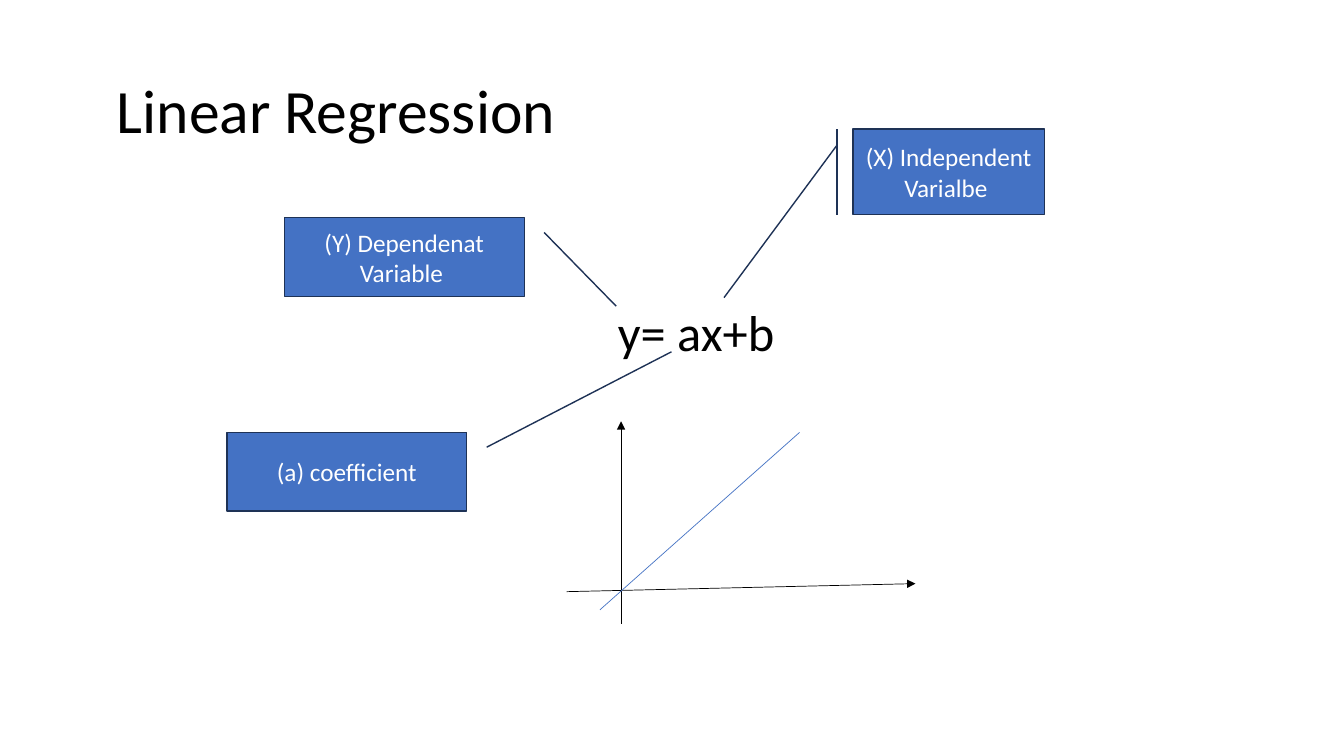
"""Build a slide that explains the linear regression equation."""
from pptx import Presentation
from pptx.dml.color import RGBColor
from pptx.enum.shapes import MSO_CONNECTOR, MSO_SHAPE
from pptx.enum.text import MSO_ANCHOR, PP_ALIGN
from pptx.oxml.ns import qn
from pptx.util import Inches, Pt
from lxml.etree import SubElement

BLACK = RGBColor(0, 0, 0)
WHITE = RGBColor(255, 255, 255)
BLUE = RGBColor(0x44, 0x72, 0xC4)
NAVY = RGBColor(0x1E, 0x32, 0x56)


def style(para, size, color, align):
    para.font.name = "Calibri"
    para.font.size = Pt(size)
    para.font.color.rgb = color
    para.alignment = align


deck = Presentation()
deck.slide_width = Inches(13.33)
deck.slide_height = Inches(7.5)
slide = deck.slides.add_slide(deck.slide_layouts[5])
shapes = slide.shapes

title = shapes.title
title.left, title.top = Inches(0.92), Inches(0.4)
title.width, title.height = Inches(11.5), Inches(1.45)
title.text = " Linear Regression"
title.text_frame.vertical_anchor = MSO_ANCHOR.MIDDLE
title.text_frame.paragraphs[0].line_spacing = 0.9
style(title.text_frame.paragraphs[0], 44, BLACK, PP_ALIGN.LEFT)

PLAIN = MSO_SHAPE.LINE_CALLOUT_1
ACCENT = MSO_SHAPE.LINE_CALLOUT_1_BORDER_AND_ACCENT_BAR
callouts = [
    ("(Y) Dependenat Variable ", PLAIN, (2.82, 2.16, 2.38, 0.78), (1.125, -0.383), True),
    ("(X) Independent Varialbe ", ACCENT, (8.46, 1.28, 1.9, 0.85), (1.968, -0.673), False),
    ("(a) coefficient", PLAIN, (2.25, 4.29, 2.38, 0.78), (-1.026, -0.853), True),
]
for text, kind, area, tip, flip in callouts:
    box = shapes.add_shape(kind, *map(Inches, area))
    for i, value in enumerate((0.188, -0.083, *tip)):
        box.adjustments[i] = value
    if flip:
        box._element.spPr.find(qn("a:xfrm")).set("flipH", "1")
    box.shadow.inherit = False
    box.fill.solid()
    box.fill.fore_color.rgb = BLUE
    box.line.color.rgb = NAVY
    box.line.width = Pt(1)
    frame = box.text_frame
    frame.text = text
    frame.word_wrap = True
    frame.vertical_anchor = MSO_ANCHOR.MIDDLE
    style(frame.paragraphs[0], 18, WHITE, PP_ALIGN.CENTER)

model = shapes.add_textbox(Inches(6.03), Inches(2.94), Inches(1.83), Inches(0.71))
model.text_frame.text = "y= ax+b"
model.text_frame.word_wrap = True
style(model.text_frame.paragraphs[0], 36, BLACK, PP_ALIGN.LEFT)

lines = [
    ((5.62, 5.87, 9.08, 5.79), BLACK, True),
    ((6.16, 6.19, 6.16, 4.18), BLACK, True),
    ((5.95, 6.05, 7.93, 4.29), BLUE, False),
]
for ends, color, arrow in lines:
    line = shapes.add_connector(MSO_CONNECTOR.STRAIGHT, *map(Inches, ends))
    line.line.color.rgb = color
    line.line.width = Pt(0.5)
    if arrow:
        SubElement(line.line._get_or_add_ln(), qn("a:tailEnd"), type="triangle")
    SubElement(line._element.spPr, qn("a:effectLst"))

deck.save("out.pptx")
